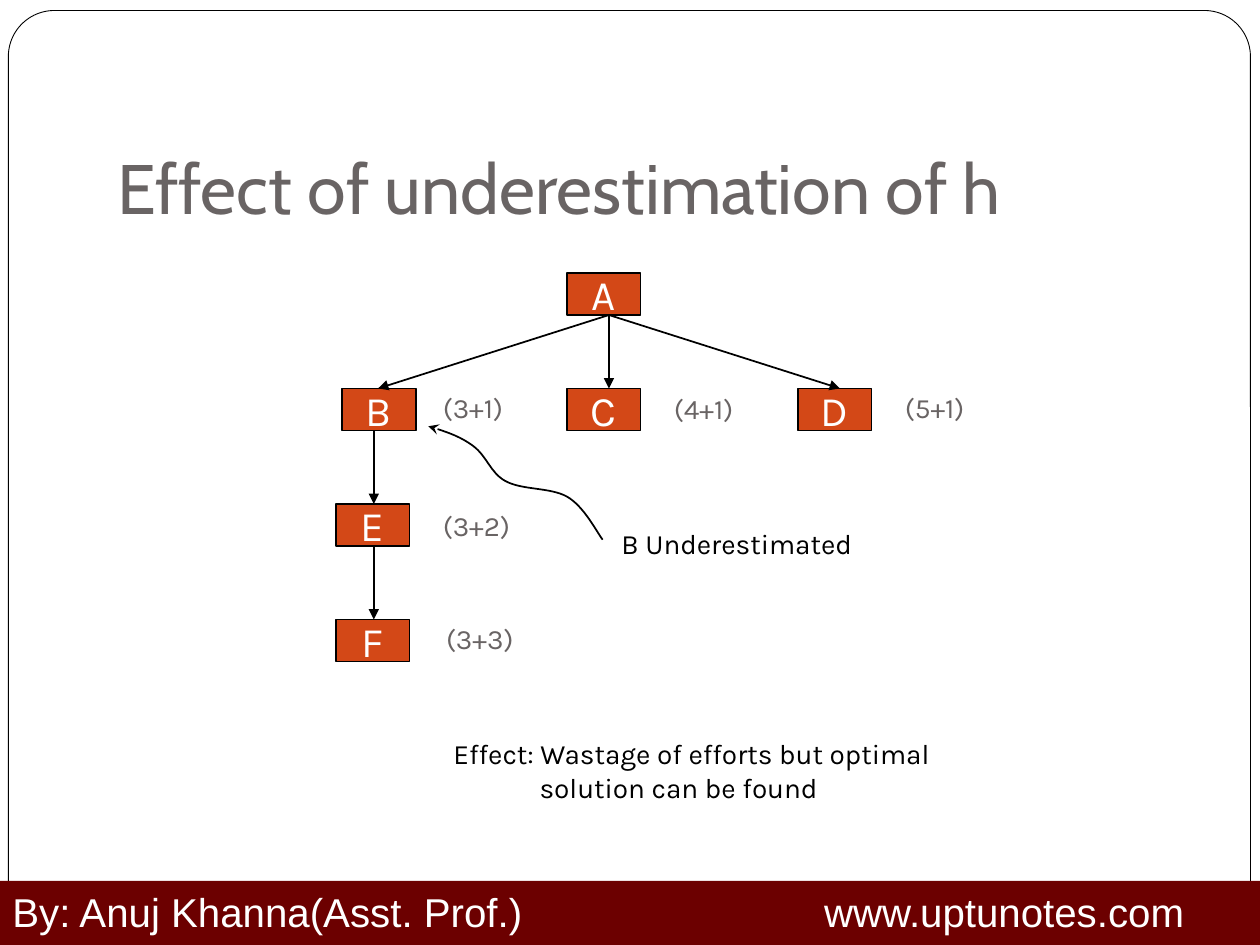
from lxml.etree import SubElement
from pptx import Presentation
from pptx.dml.color import RGBColor
from pptx.enum.shapes import MSO_CONNECTOR as Connector, MSO_SHAPE as Shape
from pptx.enum.text import MSO_ANCHOR as Anchor, PP_ALIGN as Align
from pptx.oxml.ns import qn
from pptx.util import Emu, Pt

PX = 7620
BLACK, WHITE, GREY = "000000", "FFFFFF", "696464"
ORANGE, MAROON = "D34817", "6C0000"

NODE_SIZE = (70, 40)
NODES = {"A": (220, 0), "B": (6, 110), "C": (220, 110), "D": (440, 110),
         "E": (0, 220), "F": (0, 330)}
EDGES = [(260, 40, 40, 110), (260, 40, 260, 110), (260, 40, 480, 110),
         (36, 150, 36, 220), (36, 260, 36, 330)]
COSTS = [("(3+1)", 90, 106), ("(4+1)", 310, 107), ("(5+1)", 530, 106),
         ("(3+2)", 90, 218), ("(3+3)", 93, 326)]
CURVE = [(254, 254), (248, 246), (236, 222), (220, 213), (204, 204),
         (177, 207), (161, 198), (147, 190), (144, 175), (131, 165),
         (119, 156), (96, 148), (88, 146)]


def px(*lengths):
    return [Emu(length * PX) for length in lengths]


def color(value):
    return RGBColor.from_string(value)


def set_font(paragraph, name, size, value):
    paragraph.font.name = name
    paragraph.font.size = Pt(size)
    paragraph.font.color.rgb = color(value)


def add_box(slide, kind, box, fill, line_width=0):
    shape = slide.shapes.add_shape(kind, *px(*box))
    shape.shadow.inherit = False
    shape.fill.solid()
    shape.fill.fore_color.rgb = color(fill)
    if line_width:
        shape.line.color.rgb = color(BLACK)
        shape.line.width = Pt(line_width)
    else:
        shape.line.fill.background()
    return shape


def add_label(slide, box, text, value):
    frame = slide.shapes.add_textbox(*px(*box)).text_frame
    frame.word_wrap = True
    paragraph = frame.paragraphs[0]
    paragraph.text = text
    set_font(paragraph, "Karla", 16, value)
    return paragraph


def style_arrow(shape, head):
    shape.line.color.rgb = color(BLACK)
    shape.line.width = Pt(1)
    properties = shape._element.spPr
    SubElement(properties.find(qn("a:ln")), qn("a:tailEnd"), type=head)
    if properties.find(qn("a:effectLst")) is None:
        SubElement(properties, qn("a:effectLst"))


def add_curve(slide, points):
    start, *rest = points
    builder = slide.shapes.build_freeform(*start, scale=PX)
    builder.add_line_segments(rest, close=False)
    shape = builder.convert_to_shape()
    shape.shadow.inherit = False
    shape.fill.background()
    outline = next(shape._element.iter(qn("a:path")))
    segments = outline.findall(qn("a:lnTo"))
    for first in range(0, len(segments), 3):
        bezier = SubElement(outline, qn("a:cubicBezTo"))
        for segment in segments[first:first + 3]:
            bezier.append(segment[0])
            outline.remove(segment)
    style_arrow(shape, "stealth")


def add_frame(slide, box):
    frame = add_box(slide, Shape.ROUNDED_RECTANGLE, box, WHITE, 0.5)
    frame.adjustments[0] = 0.05
    slide.shapes._spTree.insert(2, frame._element)


def add_title(slide, box):
    title = slide.shapes.title
    title.left, title.top, title.width, title.height = px(*box)
    frame = title.text_frame
    frame.vertical_anchor = Anchor.BOTTOM
    frame.margin_bottom = px(12)[0]
    paragraph = frame.paragraphs[0]
    paragraph.text = "Effect of underestimation of h"
    paragraph.alignment = Align.LEFT
    set_font(paragraph, "Cabin", 40, GREY)


def add_tree(slide, left, top):
    for name, (x, y) in NODES.items():
        box = (left + x, top + y, *NODE_SIZE)
        frame = add_box(slide, Shape.RECTANGLE, box, ORANGE, 1).text_frame
        frame.word_wrap = False
        frame.vertical_anchor = Anchor.MIDDLE
        paragraph = frame.paragraphs[0]
        paragraph.text = name
        paragraph.alignment = Align.CENTER
        set_font(paragraph, "Karla", 24, WHITE)
    for x1, y1, x2, y2 in EDGES:
        ends = px(left + x1, top + y1, left + x2, top + y2)
        edge = slide.shapes.add_connector(Connector.STRAIGHT, *ends)
        style_arrow(edge, "triangle")
    for text, x, y in COSTS:
        add_label(slide, (left + x, top + y, 100, 44), text, GREY)
    add_label(slide, (left + 260, top + 236, 310, 44), "B Underestimated", BLACK)
    add_curve(slide, [(left + x, top + y) for x, y in CURVE])


def add_effect(slide, box):
    text = "Effect: Wastage of efforts but optimal solution can be found"
    paragraph = add_label(slide, box, text, BLACK)
    indent = px(82)[0]
    properties = paragraph._p.get_or_add_pPr()
    properties.set("marL", str(indent))
    properties.set("indent", str(-indent))


def add_footer(slide, box):
    frame = add_box(slide, Shape.RECTANGLE, box, MAROON).text_frame
    frame.vertical_anchor = Anchor.TOP
    paragraph = frame.paragraphs[0]
    paragraph.text = "By: Anuj Khanna(Asst. Prof.)\twww.uptunotes.com"
    paragraph.alignment = Align.LEFT
    tabs = SubElement(paragraph._p.get_or_add_pPr(), qn("a:tabLst"))
    SubElement(tabs, qn("a:tab"), pos=str(px(773)[0]), algn="l")
    set_font(paragraph, "Arial", 23, WHITE)


def main():
    presentation = Presentation()
    presentation.slide_width, presentation.slide_height = px(1200, 900)
    slide = presentation.slides.add_slide(presentation.slide_layouts[5])
    add_frame(slide, (8, 10, 1183, 878))
    add_title(slide, (100, 80, 1020, 150))
    add_tree(slide, 320, 260)
    add_effect(slide, (420, 696, 520, 77))
    add_footer(slide, (0, 839, 1200, 61))
    presentation.save("out.pptx")


if __name__ == "__main__":
    main()
